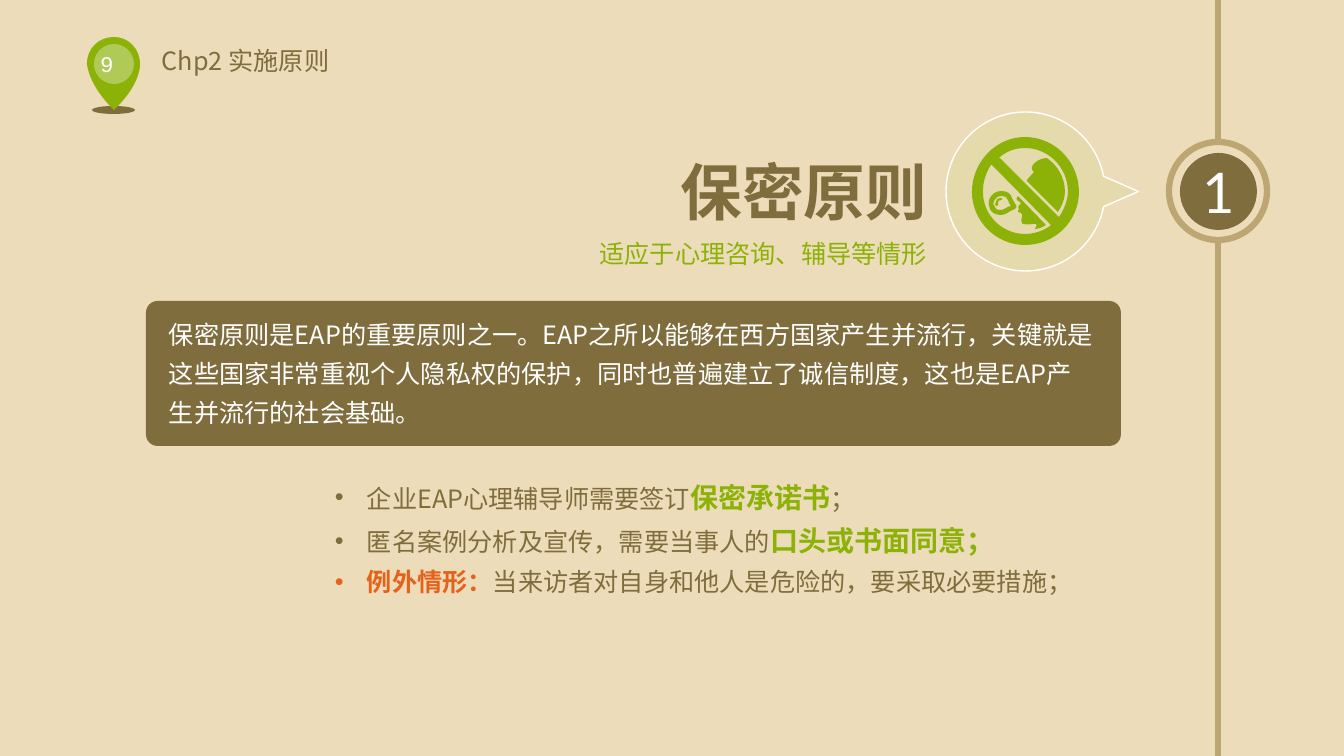
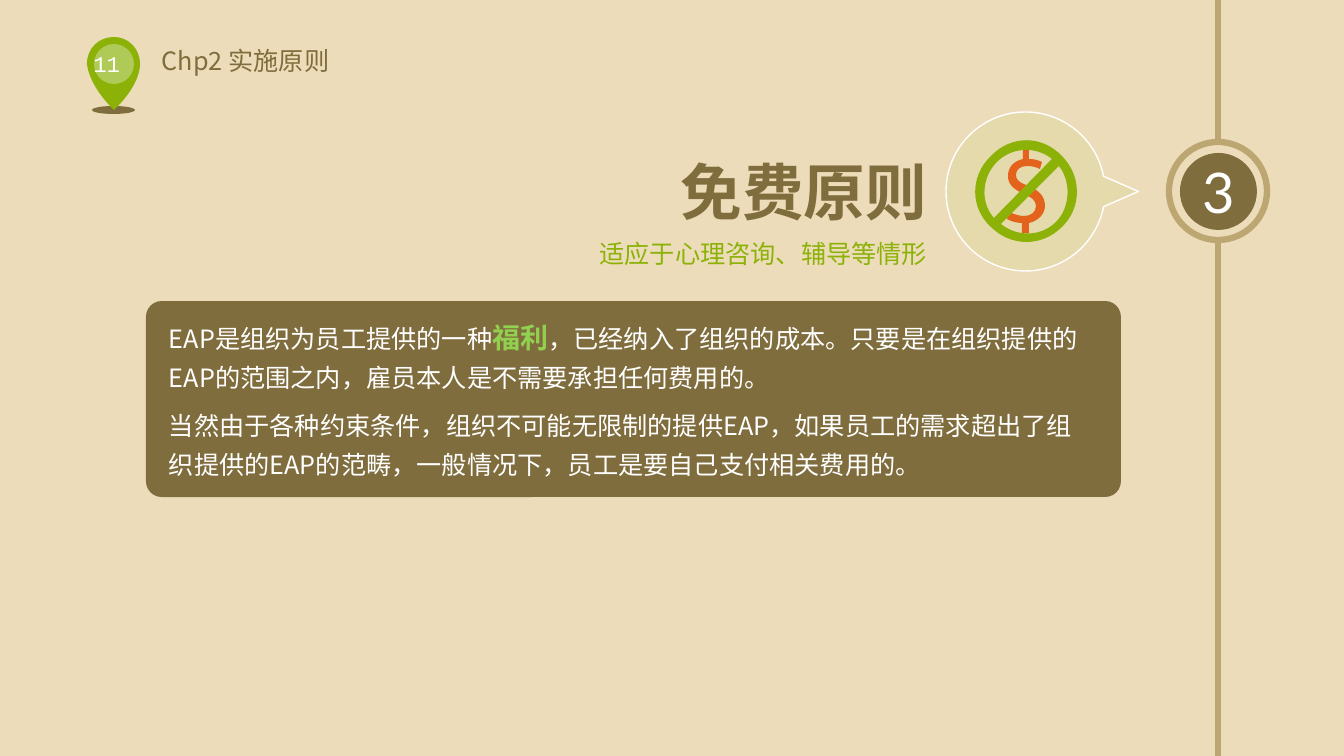
from pptx import Presentation
from pptx.dml.color import RGBColor
from pptx.enum.shapes import MSO_CONNECTOR, MSO_SHAPE
from pptx.enum.text import MSO_ANCHOR, PP_ALIGN
from pptx.oxml.ns import qn
from pptx.util import Pt
from lxml.etree import SubElement

WIDE, HIGH = 1344, 756
SCALE = 12192000 / WIDE
HUES = {"sand": "EDDCB9", "brown": "806D3E", "tan": "BCA772", "green": "8CB208",
        "lime": "9FCC3E", "leaf": "92D050", "red": "E4631C", "white": "FFFFFF"}
SANS = "Noto Sans CJK SC"

# Outlines: a start point, then points (x, y) or curves (x1, y1, x2, y2, x, y).
PIN = [(140, 64), (140, 48, 128, 37, 114, 37), (99, 37, 87, 48, 87, 64),
       (90, 88, 114, 110, 114, 110), (131, 94, 137, 80, 139, 72),
       (140, 69, 140, 66, 140, 64)]
HEAD = [(1047, 158), (1038, 158, 1027, 167, 1034, 172), (1027, 180), (1027, 181),
        (1058, 212), (1062, 206, 1065, 199, 1065, 192),
        (1065, 177, 1057, 165, 1047, 158)]
MOUTH = [(1021, 203), (1021, 205, 1019, 205, 1019, 205),
         (1017, 207, 1019, 209, 1019, 209), (1019, 209, 1018, 210, 1018, 212),
         (1018, 212, 1019, 212, 1021, 213), (1023, 215, 1022, 215, 1022, 217),
         (1020, 222, 1023, 224, 1023, 224), (1023, 224, 1027, 225, 1033, 224),
         (1038, 223, 1037, 226, 1035, 229), (1039, 229, 1043, 227, 1046, 225),
         (1018, 196), (1017, 198, 1016, 199, 1017, 200),
         (1020, 202, 1020, 202, 1021, 203)]
EAR = [(989, 200), (991, 195, 995, 191, 1001, 191), (1008, 191, 1011, 194, 1012, 198),
       (1013, 200, 1014, 202, 1016, 205), (1017, 206, 1017, 208, 1015, 209),
       (1012, 210, 1011, 211, 1009, 212), (1006, 214, 1004, 215, 1001, 215),
       (995, 215, 991, 212, 990, 209), (989, 206, 988, 203, 989, 200)]
HOLE = [(995, 207), (996, 209, 997, 210, 999, 210), (1002, 211, 1004, 209, 1006, 208),
        (1008, 207, 1009, 206, 1011, 206), (1009, 204, 1009, 202, 1008, 200),
        (1007, 197, 1005, 196, 1002, 196), (998, 196, 995, 198, 994, 201),
        (993, 203, 993, 205, 995, 207)]
GLINT = [(996, 206), (995, 205, 995, 203, 996, 202), (996, 199, 998, 198, 1001, 198),
         (1003, 198, 1003, 200, 1001, 200), (999, 200, 998, 201, 998, 203),
         (999, 205, 998, 206, 996, 206)]
HUSH = [[(1079, 192), (1079, 221, 1055, 245, 1025, 245), (996, 245, 972, 221, 972, 192),
         (972, 162, 996, 137, 1025, 137), (1055, 137, 1079, 162, 1079, 192)],
        [(1051, 225), (992, 165), (991, 165), (986, 173, 983, 181, 983, 192),
         (983, 215, 1002, 234, 1025, 234), (1034, 234, 1043, 231, 1050, 226)],
        [(1068, 192), (1068, 167, 1048, 148, 1025, 148),
         (1016, 148, 1007, 151, 1000, 157), (999, 157), (1059, 217),
         (1064, 210, 1068, 200, 1068, 192)],
        HEAD, MOUTH, EAR, HOLE, GLINT]
FREE = [[(1062, 156), (1042, 135, 1011, 135, 991, 156), (970, 176, 970, 208, 991, 227),
         (1011, 247, 1042, 247, 1062, 227), (1082, 208, 1082, 176, 1062, 156)],
        [(997, 162), (1012, 147, 1036, 146, 1052, 159), (994, 218),
         (980, 202, 982, 177, 997, 162)],
        [(1056, 222), (1041, 237, 1017, 237, 1001, 224), (1059, 166),
         (1071, 181, 1071, 207, 1056, 222)]]
DOLLAR = [(1022, 233), (1022, 223), (1016, 223, 1011, 221, 1007, 219), (1009, 212),
          (1014, 214, 1019, 216, 1024, 216), (1031, 216, 1036, 212, 1036, 206),
          (1036, 200, 1031, 197, 1024, 194), (1013, 189, 1008, 184, 1008, 176),
          (1008, 167, 1014, 161, 1023, 159), (1023, 149), (1029, 149), (1029, 159),
          (1034, 159, 1038, 160, 1042, 162), (1040, 169),
          (1036, 167, 1032, 166, 1027, 166), (1020, 166, 1016, 170, 1016, 175),
          (1016, 180, 1020, 183, 1029, 186), (1040, 191, 1045, 197, 1045, 206),
          (1045, 214, 1038, 221, 1029, 223), (1029, 233)]


def px(*nums):
    return [round(n * SCALE) for n in nums]


def hue(name):
    return RGBColor.from_string(HUES[name])


def bend(shape, loops):
    """Join each curve's three straight segments into one cubic segment."""
    segs = shape._element.iter(qn("a:lnTo"))
    segs = iter(list(segs))
    for loop in loops:
        for part in loop[1:]:
            first, *rest = [next(segs) for _ in range(len(part) // 2)]
            if rest:
                curve = first.makeelement(qn("a:cubicBezTo"))
                first.addprevious(curve)
                for seg in (first, *rest):
                    curve.append(seg[0])
                    seg.getparent().remove(seg)


def write(frame, *paras, size=18, color="brown", font=SANS, bold=False,
          align=PP_ALIGN.LEFT, lead=None, gap=0, hang=0):
    """Fill a frame; a paragraph is a list of strings or (string, format) pairs."""
    frame.word_wrap = True
    for i, runs in enumerate(paras):
        para = frame.add_paragraph() if i else frame.paragraphs[0]
        para.alignment = align
        if lead:
            para.line_spacing = lead
        if i and gap:
            para.space_before = Pt(gap)
        if hang:
            props = para._p.get_or_add_pPr()
            wide, = px(hang)
            props.set("marL", str(wide))
            props.set("indent", str(-wide))
            SubElement(props, qn("a:buFont")).set("typeface", "Arial")
            SubElement(props, qn("a:buChar")).set("char", "•")
        for item in runs:
            words, own = (item, {}) if isinstance(item, str) else item
            run = para.add_run()
            run.text = words
            run.font.name = font
            run.font.size = Pt(own.get("size", size))
            run.font.bold = own.get("bold", bold)
            run.font.color.rgb = hue(own.get("color", color))
            SubElement(run._r.get_or_add_rPr(), qn("a:ea")).set("typeface", font)


class Deck:
    def __init__(self):
        self.prs = Presentation()
        self.prs.slide_width, self.prs.slide_height = px(WIDE, HIGH)
        back = self.prs.slide_master.background.fill
        back.solid()
        back.fore_color.rgb = hue("sand")

    def paint(self, shape, fill, line=None, width=1, alpha=None):
        shape.shadow.inherit = False
        shape.fill.solid()
        shape.fill.fore_color.rgb = hue(fill)
        if alpha:
            tint = shape._element.spPr.find(qn("a:solidFill"))[0]
            SubElement(tint, qn("a:alpha")).set("val", str(alpha * 1000))
        if line:
            shape.line.color.rgb = hue(line)
            shape.line.width = Pt(width)
        else:
            shape.line.fill.background()
        return shape

    def shape(self, kind, box, fill, adj=(), **style):
        item = self.slide.shapes.add_shape(kind, *px(*box))
        for i, value in enumerate(adj):
            item.adjustments[i] = value
        return self.paint(item, fill, **style)

    def draw(self, fill, *loops):
        pen = self.slide.shapes.build_freeform(*px(*loops[0][0]))
        for i, loop in enumerate(loops):
            if i:
                pen.move_to(*px(*loop[0]))
            pen.add_line_segments([px(*part[n:n + 2]) for part in loop[1:]
                                   for n in range(0, len(part), 2)], close=False)
        item = self.paint(pen.convert_to_shape(), fill)
        bend(item, loops)

    def text(self, box, *paras, **style):
        write(self.slide.shapes.add_textbox(*px(*box)).text_frame, *paras, **style)

    def rail(self, x):
        line = self.slide.shapes.add_connector(MSO_CONNECTOR.STRAIGHT, *px(x, 0, x, HIGH))
        line.line.color.rgb = hue("tan")
        line.line.width = Pt(4.5)
        SubElement(line._element.spPr, qn("a:effectLst"))

    def start(self, page, rank, title, high):
        """Add a slide with its page pin, numbered rail, heading and panel."""
        self.slide = self.prs.slides.add_slide(self.prs.slide_layouts[6])
        self.shape(MSO_SHAPE.OVAL, (92, 106, 43, 8), "brown")
        self.draw("green", PIN)
        self.shape(MSO_SHAPE.OVAL, (94, 44, 40, 40), "white", alpha=32)
        self.text((78, 45, 71, 37), [f"{page} "], size=16, color="white",
                  font="Courier New", align=PP_ALIGN.CENTER)
        self.text((152, 40, 191, 40), ["Chp2 实施原则"])
        self.shape(MSO_SHAPE.ROUNDED_RECTANGLE, (146, 301, 975, high), "brown", (0.08,))
        self.rail(1218)
        self.shape(MSO_SHAPE.OVAL, (1169, 142, 98, 98), "sand", line="tan", width=4.5)
        disc = self.shape(MSO_SHAPE.OVAL, (1180, 153, 77, 77), "brown").text_frame
        disc.margin_left = disc.margin_right = disc.margin_top = disc.margin_bottom = 0
        disc.vertical_anchor = MSO_ANCHOR.MIDDLE
        write(disc, [str(rank)], size=40, color="white", font="Lato",
              align=PP_ALIGN.CENTER)
        self.shape(MSO_SHAPE.OVAL_CALLOUT, (946, 112, 159, 159), "lime", (0.71, 0),
                   line="white", alpha=10)
        self.text((606, 149, 331, 85), [title], size=44, bold=True, align=PP_ALIGN.RIGHT)
        self.text((586, 233, 351, 40), ["适应于心理咨询、辅导等情形"], color="green",
                  align=PP_ALIGN.RIGHT)

    def body(self, high, *paras):
        self.text((159, 305, 947, high), *paras, color="white", lead=1.3, gap=6)


def main():
    deck = Deck()
    key = {"size": 20, "color": "green", "bold": True}

    deck.start(9, 1, "保密原则", 145)
    deck.draw("green", *HUSH)
    deck.body(129, [
        "保密原则是EAP的重要原则之一。EAP之所以能够在西方国家产生并流行，关键就是这些国家"
        "非常重视个人隐私权的保护，同时也普遍建立了诚信制度，这也是EAP产生并流行的社会基础。"])
    deck.text((325, 465, 845, 138),
              ["企业EAP心理辅导师需要签订", ("保密承诺书", key), "；"],
              ["匿名案例分析及宣传，需要当事人的", ("口头或书面同意；", key)],
              [("例外情形：", {"color": "red", "bold": True}),
               "当来访者对自身和他人是危险的，要采取必要措施；"],
              lead=1.3, hang=32)

    deck.start(11, 3, "免费原则", 196)
    deck.body(181, [
        "EAP是组织为员工提供的一种", ("福利", {**key, "color": "leaf"}),
        "，已经纳入了组织的成本。只要是在组织提供的EAP的范围之内，雇员本人是不需要承担任何费用的。"],
        ["当然由于各种约束条件，组织不可能无限制的提供EAP，如果员工的需求超出了组织提供的EAP的"
         "范畴，一般情况下，员工是要自己支付相关费用的。"])
    deck.draw("red", DOLLAR)
    deck.draw("green", *FREE)

    deck.prs.save("out.pptx")


if __name__ == "__main__":
    main()
